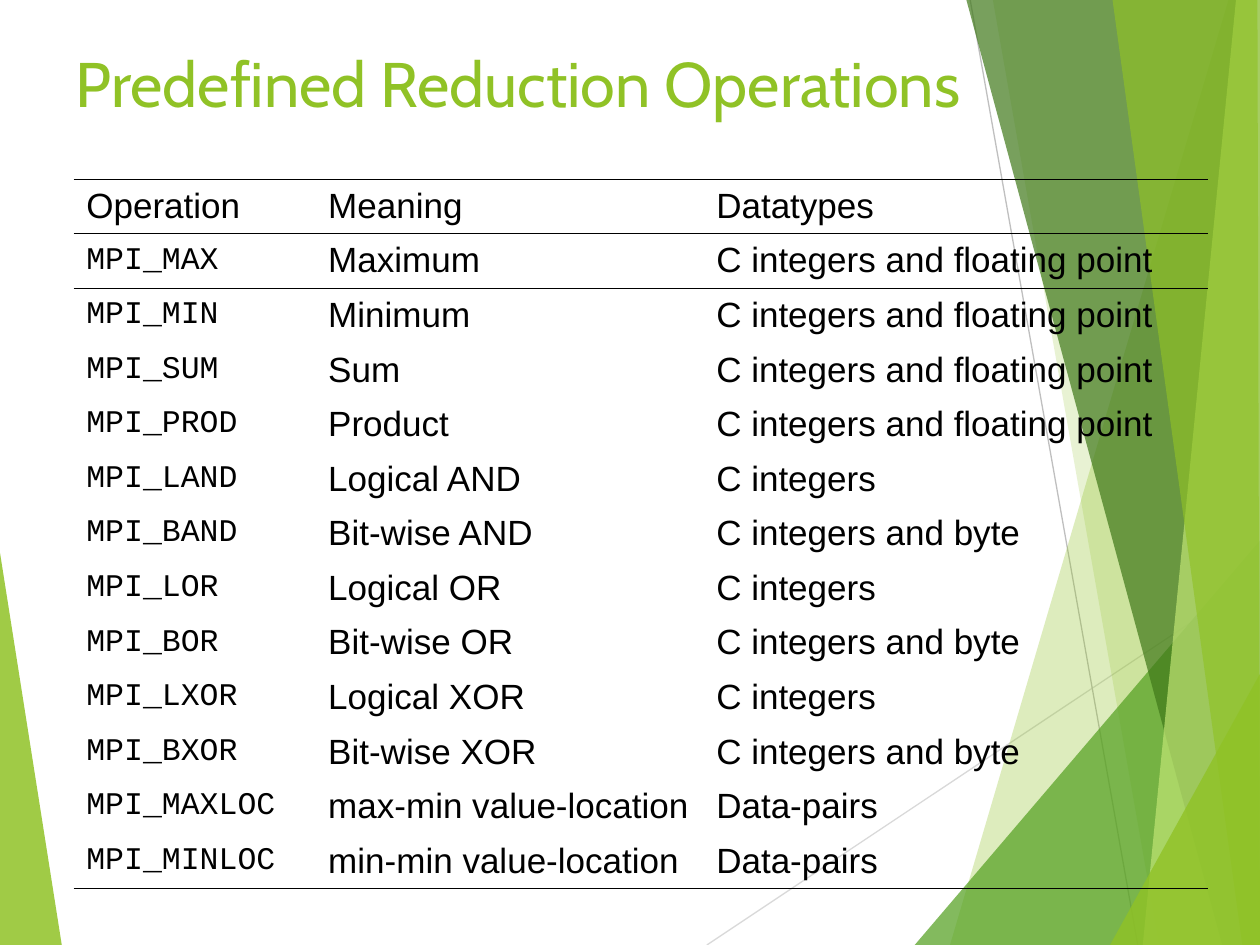
import dataclasses
import typing

import lxml.etree
import pptx
import pptx.dml.color
import pptx.enum.shapes
import pptx.enum.text
import pptx.oxml.ns
import pptx.util

WIDTH = pptx.util.Inches(10)
HEIGHT = pptx.util.Inches(7.5)
NO_STYLE = "{2D5ABB26-0587-4C30-8999-92F81FD0307C}"


@dataclasses.dataclass(frozen=True)
class Theme:
    green: str = "90C226"
    leaf: str = "54A021"
    forest: str = "3F7819"
    lime: str = "C0E474"
    light_grey: str = "D9D9D9"
    grey: str = "BFBFBF"
    ink: str = "000000"
    title_font: str = "Cabin"
    text_font: str = "Arial"
    code_font: str = "Courier New"
    title_size: float = 36
    text_size: float = 20
    code_size: float = 18
    ray_width: float = 0.75
    rule_width: float = 0.45


THEME = Theme()


class Point(typing.NamedTuple):
    x: float
    y: float


class Facet(typing.NamedTuple):
    color: str
    opacity: int
    points: list[tuple[float, float]]


class Ray(typing.NamedTuple):
    color: str
    start: tuple[float, float]
    end: tuple[float, float]


class Operation(typing.NamedTuple):
    name: str
    meaning: str
    datatypes: str


FLOATING = "C integers and floating point"
INTEGERS = "C integers"
BYTES = "C integers and byte"
PAIRS = "Data-pairs"

LEFT_FACET = Facet(THEME.green, 85, [(0, 58.5), (4.9, 100), (0, 100)])
RAYS = [
    Ray(THEME.light_grey, (56.1, 100), (100, 61)),
    Ray(THEME.grey, (77, 0), (90.3, 100)),
]
RIGHT_FACETS = [
    Facet(THEME.green, 30, [(97.5, 0), (75.4, 100), (100, 100), (100, 0)]),
    Facet(THEME.green, 20, [(78.8, 0), (92, 100), (100, 100), (100, 0)]),
    Facet(THEME.leaf, 72, [(72.6, 100), (100, 57.2), (100, 100)]),
    Facet(THEME.forest, 70, [(76.7, 0), (97, 100), (100, 100), (100, 0)]),
    Facet(THEME.lime, 70, [(98.1, 0), (90.7, 100), (100, 100), (100, 0)]),
    Facet(THEME.green, 65, [(88.3, 0), (98.6, 100), (100, 100), (99.8, 0)]),
    Facet(THEME.green, 80, [(88.1, 100), (100, 71.3), (100, 100)]),
]
COLUMN_SHARES = [19.2, 30.8, 40]
ROWS = [
    Operation("Operation", "Meaning", "Datatypes"),
    Operation("MPI_MAX", "Maximum", FLOATING),
    Operation("MPI_MIN", "Minimum", FLOATING),
    Operation("MPI_SUM", "Sum", FLOATING),
    Operation("MPI_PROD", "Product", FLOATING),
    Operation("MPI_LAND", "Logical AND", INTEGERS),
    Operation("MPI_BAND", "Bit-wise AND", BYTES),
    Operation("MPI_LOR", "Logical OR", INTEGERS),
    Operation("MPI_BOR", "Bit-wise OR", BYTES),
    Operation("MPI_LXOR", "Logical XOR", INTEGERS),
    Operation("MPI_BXOR", "Bit-wise XOR", BYTES),
    Operation("MPI_MAXLOC", "max-min value-location", PAIRS),
    Operation("MPI_MINLOC", "min-min value-location", PAIRS),
]


def rgb(color: str) -> pptx.dml.color.RGBColor:
    return pptx.dml.color.RGBColor.from_string(color)


def place(x: float, y: float) -> Point:
    return Point(round(WIDTH * x / 100), round(HEIGHT * y / 100))


def add_element(parent, tag: str, **attributes: str):
    return lxml.etree.SubElement(parent, pptx.oxml.ns.qn(tag), attributes)


def draw_facet(shapes, facet: Facet) -> None:
    first, *rest = [place(*point) for point in facet.points]
    builder = shapes.build_freeform(first.x, first.y)
    builder.add_line_segments(rest, close=True)
    sp = builder.convert_to_shape()
    sp.shadow.inherit = False
    sp.line.fill.background()
    sp.fill.solid()
    sp.fill.fore_color.rgb = rgb(facet.color)
    color = sp.element.spPr.find(".//" + pptx.oxml.ns.qn("a:srgbClr"))
    add_element(color, "a:alpha", val=str(facet.opacity * 1000))


def draw_ray(shapes, ray: Ray) -> None:
    line = shapes.add_connector(
        pptx.enum.shapes.MSO_CONNECTOR.STRAIGHT, *place(*ray.start), *place(*ray.end)
    )
    line.line.color.rgb = rgb(ray.color)
    line.line.width = pptx.util.Pt(THEME.ray_width)
    add_element(line.element.spPr, "a:effectLst")


def format_run(p, font: str, size: float, color: str) -> None:
    for r in p.runs:
        r.font.name = font
        r.font.size = pptx.util.Pt(size)
        r.font.color.rgb = rgb(color)


def draw_title(s, text: str) -> None:
    title = s.shapes.title
    title.left, title.top = place(5, 4)
    title.width, title.height = place(90, 16.67)
    tf = title.text_frame
    tf.text = text
    tf.auto_size = pptx.enum.text.MSO_AUTO_SIZE.NONE
    tf.vertical_anchor = pptx.enum.text.MSO_ANCHOR.TOP
    p = tf.paragraphs[0]
    p.alignment = pptx.enum.text.PP_ALIGN.LEFT
    format_run(p, THEME.title_font, THEME.title_size, THEME.green)
    title.element.getparent().append(title.element)


def add_rule(cell, side: str) -> None:
    properties = cell._tc.get_or_add_tcPr()
    width = str(pptx.util.Pt(THEME.rule_width))
    line = add_element(properties, side, w=width)
    fill = add_element(line, "a:solidFill")
    add_element(fill, "a:srgbClr", val=THEME.ink)


def fill_cell(cell, text: str, is_code: bool, rules: list[str]) -> None:
    cell.text_frame.text = text
    cell.vertical_anchor = pptx.enum.text.MSO_ANCHOR.MIDDLE
    p = cell.text_frame.paragraphs[0]
    indent = pptx.util.Inches(0.38)
    properties = p._p.get_or_add_pPr()
    properties.set("marL", str(indent))
    properties.set("indent", str(-indent))
    font = THEME.code_font if is_code else THEME.text_font
    size = THEME.code_size if is_code else THEME.text_size
    format_run(p, font, size, THEME.ink)
    for side in rules:
        add_rule(cell, side)
    cell.fill.background()


def draw_table(s, rows: list[Operation]) -> None:
    frame = s.shapes.add_table(
        len(rows), len(COLUMN_SHARES), *place(5.85, 18.93), *place(sum(COLUMN_SHARES), 75.07)
    )
    table = frame.table
    table.first_row = table.horz_banding = False
    table._tbl.tblPr.find(pptx.oxml.ns.qn("a:tableStyleId")).text = NO_STYLE
    for column, share in zip(table.columns, COLUMN_SHARES):
        column.width = place(share, 0).x
    rules = {0: ["a:lnT", "a:lnB"], 1: ["a:lnT"], len(rows) - 1: ["a:lnB"]}
    for i, operation in enumerate(rows):
        for j, text in enumerate(operation):
            fill_cell(table.cell(i, j), text, i > 0 and j == 0, rules.get(i, []))


def main() -> None:
    prs = pptx.Presentation()
    prs.slide_width, prs.slide_height = WIDTH, HEIGHT
    s = prs.slides.add_slide(prs.slide_layouts[5])
    backdrop = s.shapes.add_group_shape().shapes
    draw_facet(backdrop, LEFT_FACET)
    for ray in RAYS:
        draw_ray(backdrop, ray)
    for facet in RIGHT_FACETS:
        draw_facet(backdrop, facet)
    draw_title(s, "Predefined Reduction Operations")
    draw_table(s, ROWS)
    prs.save("out.pptx")


if __name__ == "__main__":
    main()
